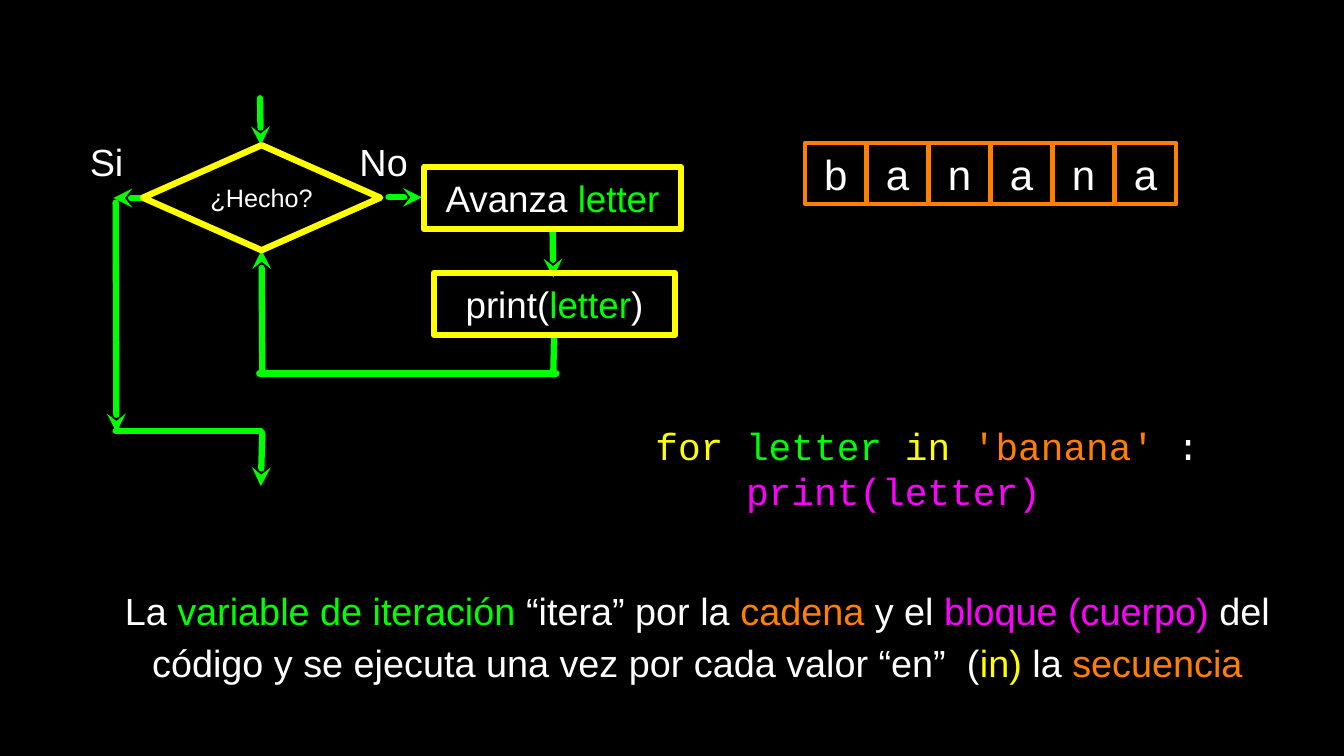
from lxml.etree import SubElement
from pptx import Presentation
from pptx.dml.color import RGBColor
from pptx.enum.shapes import MSO_CONNECTOR, MSO_SHAPE
from pptx.enum.text import MSO_ANCHOR, PP_ALIGN
from pptx.oxml.ns import qn
from pptx.util import Pt

SCALE = 9144  # EMU in one px, 100 px to the inch
COLORS = {
    "black": "000000",
    "white": "FFFFFF",
    "green": "00FF00",
    "yellow": "FFFF00",
    "orange": "FF7F00",
    "pink": "FF00FF",
}


def px(*nums):
    return [num * SCALE for num in nums]


def rgb(name):
    return RGBColor.from_string(COLORS[name])


def write(shape, lines, size, font="Arial", align=PP_ALIGN.CENTER, space=1.0):
    """Fill a shape with lines, each a list of (text, colour) pairs."""
    frame = shape.text_frame
    frame.word_wrap = True
    frame.vertical_anchor = MSO_ANCHOR.MIDDLE
    frame.margin_left = frame.margin_right = 0
    frame.margin_top = frame.margin_bottom = 0
    for i, line in enumerate(lines):
        para = frame.add_paragraph() if i else frame.paragraphs[0]
        para.alignment = align
        para.line_spacing = space
        for text, color in line:
            run = para.add_run()
            run.text = text
            run.font.name = font
            run.font.size = Pt(size)
            run.font.color.rgb = rgb(color)


def add_box(slide, kind, area, color, width, line, size):
    shape = slide.shapes.add_shape(kind, *px(*area))
    shape.shadow.inherit = False
    shape.fill.background()
    shape.line.color.rgb = rgb(color)
    shape.line.width = Pt(width)
    write(shape, [line], size)


def add_text(slide, area, lines, size, **style):
    box = slide.shapes.add_textbox(*px(*area))
    write(box, lines, size, **style)
    return box


def add_line(slide, ends, arrow):
    """Draw a green line from the first point to the second, where the arrow sits."""
    link = slide.shapes.add_connector(MSO_CONNECTOR.STRAIGHT, *px(*ends))
    link.line.color.rgb = rgb("green")
    link.line.width = Pt(6)
    stroke = link.line._get_or_add_ln()
    stroke.set("cap", "rnd")
    if arrow:
        SubElement(stroke, qn("a:tailEnd"), type="stealth")
    SubElement(link._element.spPr, qn("a:effectLst"))


def add_flow(slide):
    arrows = [
        (344, 130, 345, 192),
        (347, 494, 346, 331),
        (731, 303, 732, 367),
        (193, 262, 150, 262),
        (347, 573, 345, 643),
        (153, 268, 154, 572),
        (514, 261, 558, 261),
    ]
    joins = [
        (733, 443, 732, 495),
        (343, 494, 736, 494),
        (153, 570, 345, 570),
    ]
    for ends in arrows:
        add_line(slide, ends, True)
    for ends in joins:
        add_line(slide, ends, False)

    rect = MSO_SHAPE.RECTANGLE
    steps = [
        (MSO_SHAPE.DIAMOND, (189, 192, 314, 139), [("¿Hecho?", "white")], 24),
        (rect, (574, 361, 319, 82),
         [("print(", "white"), ("letter", "green"), (")", "white")], 35),
        (rect, (561, 221, 340, 82),
         [("Avanza ", "white"), ("letter", "green")], 35),
    ]
    for kind, area, line, size in steps:
        add_box(slide, kind, area, "yellow", 6, line, size)
    add_text(slide, (93, 179, 96, 68), [[("Si", "white")]], 36)
    add_text(slide, (468, 179, 79, 68), [[("No", "white")]], 36)


def add_word(slide, word):
    for i, char in enumerate(word):
        area = (1065 + 82 * i, 189, 81, 81)
        add_box(slide, MSO_SHAPE.RECTANGLE, area, "orange", 4,
                [(char, "white")], 40)


def add_code(slide):
    lines = [
        [("for ", "yellow"), ("letter ", "green"), ("in ", "yellow"),
         ("'banana' ", "orange"), (":", "white")],
        [("print(letter)", "pink")],
    ]
    box = add_text(slide, (867, 556, 726, 125), lines, 36,
                   font="Courier New", align=PP_ALIGN.LEFT)
    body = box.text_frame.paragraphs[1]
    body._p.get_or_add_pPr().set("marL", str(px(120)[0]))


def add_note(slide):
    line = [
        ("La", "white"),
        (" variable de iteración ", "green"),
        ("“itera” por la ", "white"),
        ("cadena ", "orange"),
        ("y el ", "white"),
        ("bloque (cuerpo)", "pink"),
        (" del código y se ejecuta una vez por cada valor “en”  (", "white"),
        ("in)", "yellow"),
        (" la ", "white"),
        ("secuencia", "orange"),
    ]
    add_text(slide, (128, 763, 1589, 148), [line], 36, space=1.15)


def main():
    deck = Presentation()
    deck.slide_width, deck.slide_height = px(1778, 1000)
    slide = deck.slides.add_slide(deck.slide_layouts[6])
    slide.background.fill.solid()
    slide.background.fill.fore_color.rgb = rgb("black")
    add_flow(slide)
    add_word(slide, "banana")
    add_code(slide)
    add_note(slide)
    deck.save("out.pptx")


if __name__ == "__main__":
    main()
